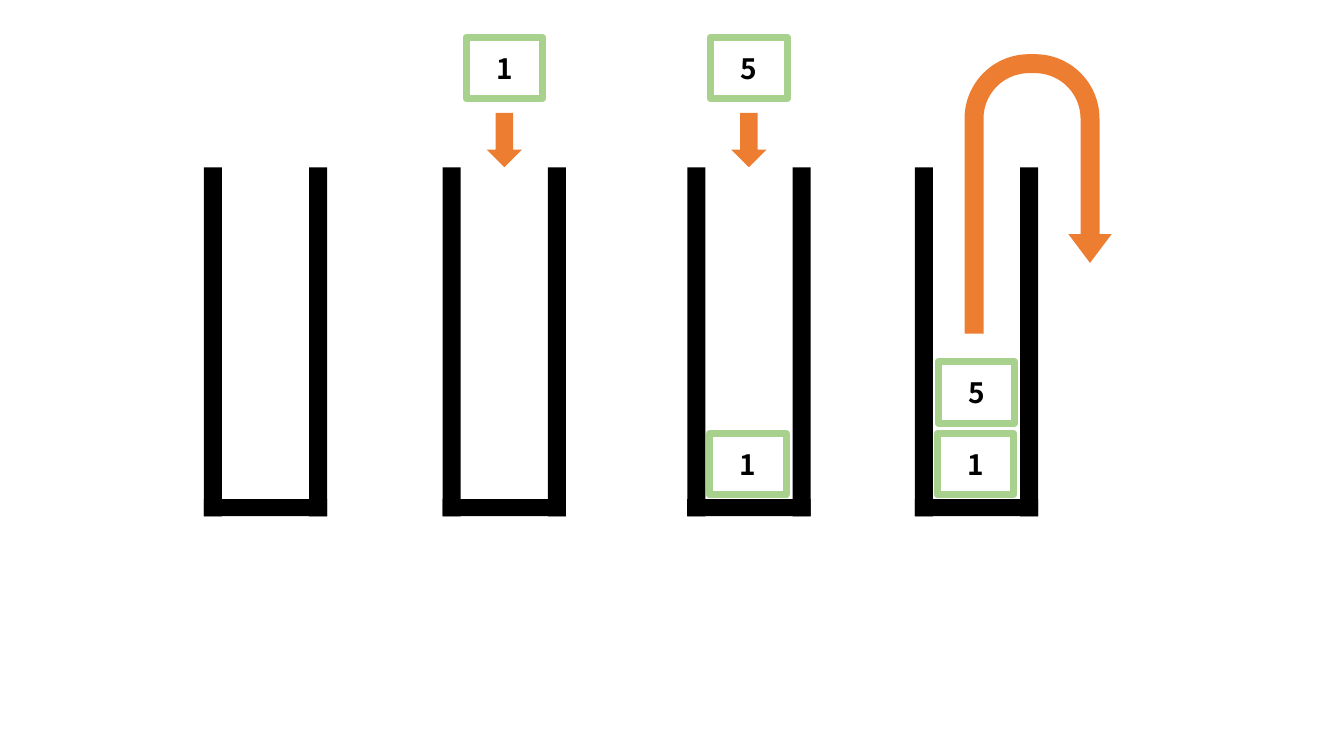
import pptx
import pptx.dml.color
import pptx.enum.shapes
import pptx.enum.text
import pptx.util

Pt = pptx.util.Pt
SHAPES = pptx.enum.shapes.MSO_SHAPE
COLORS = {"wall": "000000", "text": "000000", "item": "A9D18E", "arrow": "ED7D31"}
FONT = "Noto Sans CJK KR"

STACK_TOP, STACK_WIDTH, STACK_HEIGHT = 119.5, 88.1, 249.3
WALL, BASE = 12.9, 12.2
ITEM_WIDTH, ITEM_HEIGHT, ITEM_STEP = 54.7, 43.9, 51.3
ARROW_WIDTH, ARROW_HEIGHT = 25.2, 38.9


def color(name):
    return pptx.dml.color.RGBColor.from_string(COLORS[name])


def add_figure(page, kind, left, top, width, height, fill=None, line=None, weight=5):
    figure = page.shapes.add_shape(kind, Pt(left), Pt(top), Pt(width), Pt(height))
    figure.shadow.inherit = False
    if fill:
        figure.fill.solid()
        figure.fill.fore_color.rgb = color(fill)
    else:
        figure.fill.background()
    if line:
        figure.line.color.rgb = color(line)
        figure.line.width = Pt(weight)
    else:
        figure.line.fill.background()
    return figure


def write_text(figure, text, size=20, bold=True, ink="text"):
    frame = figure.text_frame
    frame.word_wrap = True
    frame.vertical_anchor = pptx.enum.text.MSO_ANCHOR.MIDDLE
    para = frame.paragraphs[0]
    para.alignment = pptx.enum.text.PP_ALIGN.CENTER
    span = para.add_run()
    span.text = text
    span.font.name = FONT
    span.font.size = Pt(size)
    span.font.bold = bold
    span.font.color.rgb = color(ink)


def add_item(page, left, top, text):
    item = add_figure(page, SHAPES.RECTANGLE, left, top, ITEM_WIDTH, ITEM_HEIGHT, line="item")
    write_text(item, text)


def add_container(page, left, top, width, height):
    for wall_left in (left, left + width - WALL):
        add_figure(page, SHAPES.RECTANGLE, wall_left, top, WALL, height, fill="wall")
    add_figure(page, SHAPES.RECTANGLE, left, top + height - BASE, width, BASE, fill="wall")


def add_contents(page, left, top, height, items):
    lowest = top + height - BASE - ITEM_HEIGHT - 3.1
    for level, text in enumerate(items):
        add_item(page, left + 15.9 + level * 0.7, lowest - level * ITEM_STEP, text)


def add_push(page, left, top, width, text):
    add_item(page, left + (width - ITEM_WIDTH) / 2, top - 92.9, text)
    add_figure(page, SHAPES.DOWN_ARROW, left + (width - ARROW_WIDTH) / 2,
               top - ARROW_HEIGHT, ARROW_WIDTH, ARROW_HEIGHT, fill="arrow")


def add_pop(page, left, top):
    arrow = add_figure(page, SHAPES.U_TURN_ARROW, left + 35.5, top - 80.8, 105.1, 199.6, fill="arrow")
    for index, value in enumerate((0.129, 0.147, 0.196, 0.438, 0.747)):
        arrow.adjustments[index] = value


def add_stack(page, left, top, width, height, items="", pushed=None, popping=False):
    add_container(page, left, top, width, height)
    add_contents(page, left, top, height, items)
    if pushed:
        add_push(page, left, top, width, pushed)
    if popping:
        add_pop(page, left, top)


def main():
    deck = pptx.Presentation()
    deck.slide_width, deck.slide_height = Pt(960), Pt(540)
    page = deck.slides.add_slide(deck.slide_layouts[6])
    stages = (
        (145.6, {}),
        (316.2, {"pushed": "1"}),
        (490.9, {"items": "1", "pushed": "5"}),
        (653.5, {"items": "15", "popping": True}),
    )
    for left, state in stages:
        add_stack(page, left, STACK_TOP, STACK_WIDTH, STACK_HEIGHT, **state)
    deck.save("out.pptx")


if __name__ == "__main__":
    main()
